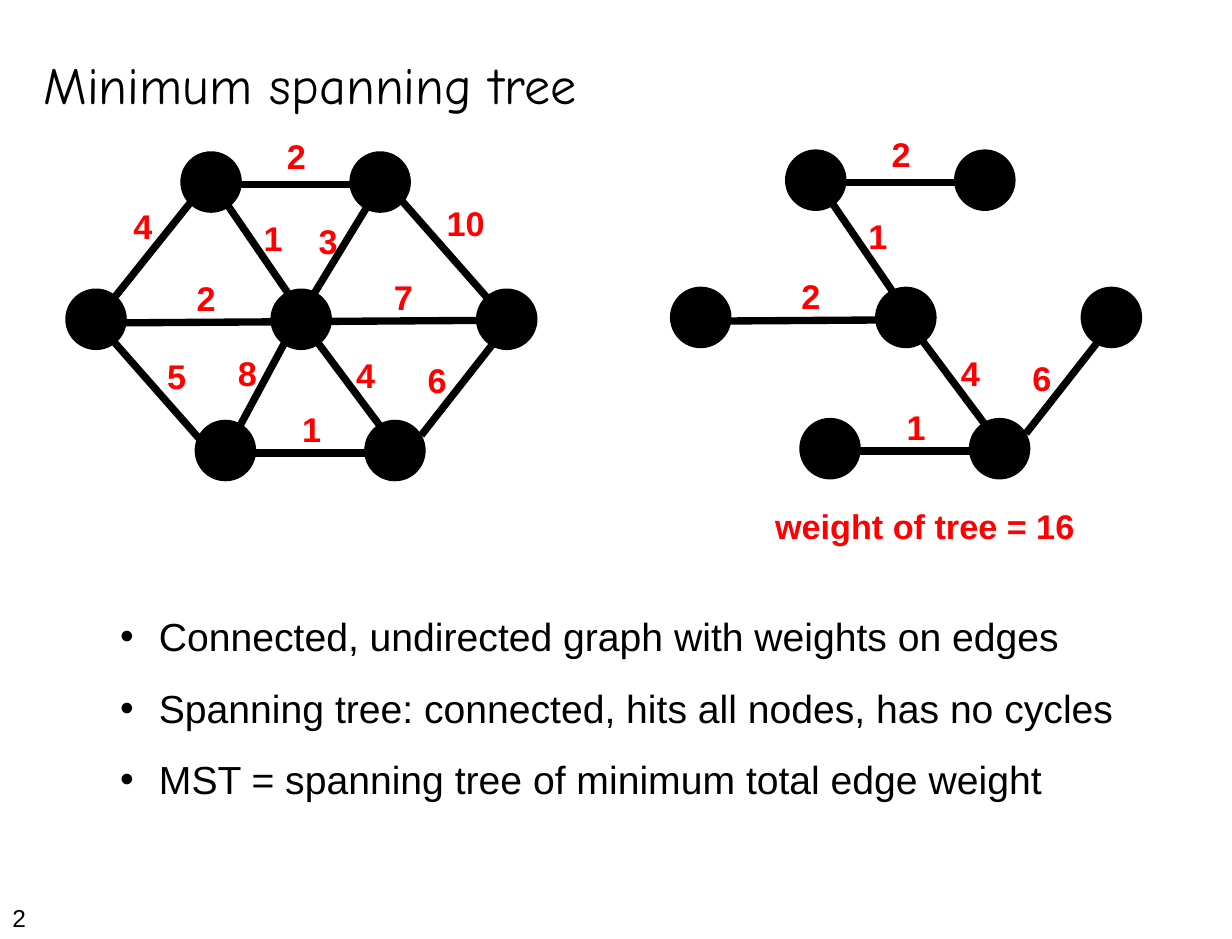
from dataclasses import dataclass

from lxml import etree
from pptx import Presentation
from pptx.dml.color import RGBColor
from pptx.enum.shapes import MSO_CONNECTOR, MSO_SHAPE
from pptx.enum.text import MSO_ANCHOR, MSO_AUTO_SIZE, PP_ALIGN
from pptx.oxml.ns import qn
from pptx.util import Cm, Pt

OVAL = MSO_SHAPE.OVAL
STRAIGHT = MSO_CONNECTOR.STRAIGHT
LEFT = PP_ALIGN.LEFT
TOP, MIDDLE = MSO_ANCHOR.TOP, MSO_ANCHOR.MIDDLE
NO_FIT = MSO_AUTO_SIZE.NONE

BLACK, RED = "000000", "FF0000"
BODY_FONT, TITLE_FONT = "Arial", "Comic Neue"
NODE_SIZE = 1.12
LABEL_HEIGHT = 1.17


@dataclass
class Node:
    x: float
    y: float


@dataclass
class Edge:
    start: tuple[float, float]
    end: tuple[float, float]
    weight: int
    label: tuple[float, float]
    in_tree: bool = False


# All lengths are in centimetres
NODES = [
    Node(4.01, 3.38), Node(7.67, 3.38),
    Node(1.52, 6.35), Node(5.96, 6.35), Node(10.41, 6.35),
    Node(4.32, 9.19), Node(7.99, 9.19),
]
EDGES = [
    Edge((5.21, 3.99), (7.67, 3.99), 2, (5.94, 2.8), True),
    Edge((4.62, 3.99), (6.6, 6.88), 1, (5.44, 4.57), True),
    Edge((2.08, 6.99), (6.65, 6.96), 2, (3.99, 5.87), True),
    Edge((6.6, 7.04), (8.61, 9.73), 4, (7.44, 7.53), True),
    Edge((9.12, 9.42), (10.97, 7.06), 6, (8.99, 7.64), True),
    Edge((5.46, 9.8), (7.95, 9.8), 1, (6.27, 8.7), True),
    Edge((2.18, 6.81), (4.5, 3.91), 4, (2.62, 4.32)),
    Edge((6.43, 6.96), (8.18, 4.09), 3, (6.63, 4.63)),
    Edge((8.36, 3.96), (10.87, 6.81), 10, (9.4, 4.24)),
    Edge((6.35, 6.96), (10.92, 6.93), 7, (8.26, 5.84)),
    Edge((2.26, 7.16), (4.32, 9.5), 5, (3.35, 7.56)),
    Edge((4.88, 9.8), (6.45, 6.88), 8, (4.88, 7.49)),
]
POINTS = [
    "Connected, undirected graph with weights on edges",
    "Spanning tree: connected, hits all nodes, has no cycles",
    "MST = spanning tree of minimum total edge weight",
]


def rgb(value: str) -> RGBColor:
    return RGBColor.from_string(value)


def place(sp, x: float, y: float, w: float, h: float) -> None:
    sp.left, sp.top, sp.width, sp.height = Cm(x), Cm(y), Cm(w), Cm(h)


def format_text(sp, size: float, color: str = BLACK, font: str = BODY_FONT,
                bold: bool = False, anchor=TOP, wrap: bool = True) -> None:
    tf = sp.text_frame
    tf.auto_size = NO_FIT
    tf.word_wrap = wrap
    tf.vertical_anchor = anchor
    tf.margin_left = tf.margin_right = Cm(0.27)
    tf.margin_top = tf.margin_bottom = Cm(0.13)
    for p in tf.paragraphs:
        p.alignment = LEFT
        for r in p.runs:
            r.font.name, r.font.size, r.font.bold = font, Pt(size), bold
            r.font.color.rgb = rgb(color)


def add_label(s, text: str, x: float, y: float, w: float) -> None:
    sp = s.shapes.add_textbox(Cm(x), Cm(y), Cm(w), Cm(LABEL_HEIGHT))
    sp.text_frame.text = text
    format_text(sp, 21, RED, bold=True, wrap=False)


def add_node(s, node: Node, dx: float, dy: float) -> None:
    sp = s.shapes.add_shape(OVAL, Cm(node.x + dx), Cm(node.y + dy),
                            Cm(NODE_SIZE), Cm(NODE_SIZE))
    sp.shadow.inherit = False
    sp.fill.solid()
    sp.fill.fore_color.rgb = rgb(BLACK)
    sp.line.color.rgb = rgb(BLACK)
    sp.line.width = Pt(6)


def add_edge(s, edge: Edge, dx: float, dy: float) -> None:
    (x1, y1), (x2, y2) = edge.start, edge.end
    line = s.shapes.add_connector(STRAIGHT, Cm(x1 + dx), Cm(y1 + dy),
                                  Cm(x2 + dx), Cm(y2 + dy))
    line.line.color.rgb = rgb(BLACK)
    line.line.width = Pt(4.5)
    etree.SubElement(line._element.spPr, qn("a:effectLst"))


def add_graph(s, edges: list[Edge], dx: float = 0, dy: float = 0) -> None:
    for edge in edges:
        add_edge(s, edge, dx, dy)
    for node in NODES:
        add_node(s, node, dx, dy)
    for edge in edges:
        text = str(edge.weight)
        x, y = edge.label
        add_label(s, text, x + dx, y + dy, 0.52 + 0.42 * len(text))


def main() -> None:
    prs = Presentation()
    prs.slide_width, prs.slide_height = Cm(26.67), Cm(20.32)
    s = prs.slides.add_slide(prs.slide_layouts[1])

    # Title
    title = s.shapes.title
    place(title, 0.67, 0.91, 24.66, 1.8)
    title.text_frame.text = "Minimum spanning tree"
    format_text(title, 32, font=TITLE_FONT, anchor=MIDDLE)

    # Bullet list
    body = s.placeholders[1]
    place(body, 2.33, 13.13, 22.96, 4.37)
    body.text_frame.text = "\n".join(POINTS)
    format_text(body, 24)
    for p in body.text_frame.paragraphs:
        p.space_before = Pt(15)
        pPr = p._p.get_or_add_pPr()
        pPr.set("marL", str(Cm(0.84)))
        pPr.set("indent", str(-Cm(0.84)))

    # Weighted graph and its minimum spanning tree
    tree = [edge for edge in EDGES if edge.in_tree]
    add_graph(s, EDGES)
    add_graph(s, tree, 13.09, -0.04)
    total = sum(edge.weight for edge in tree)
    add_label(s, f"weight of tree = {total}", 16.51, 10.8, 7.04)

    # Slide number
    number = s.shapes.add_textbox(Cm(0), Cm(19.41), Cm(5.56), Cm(0.9))
    number.text_frame.text = "2"
    format_text(number, 15)

    prs.save("out.pptx")


if __name__ == "__main__":
    main()
